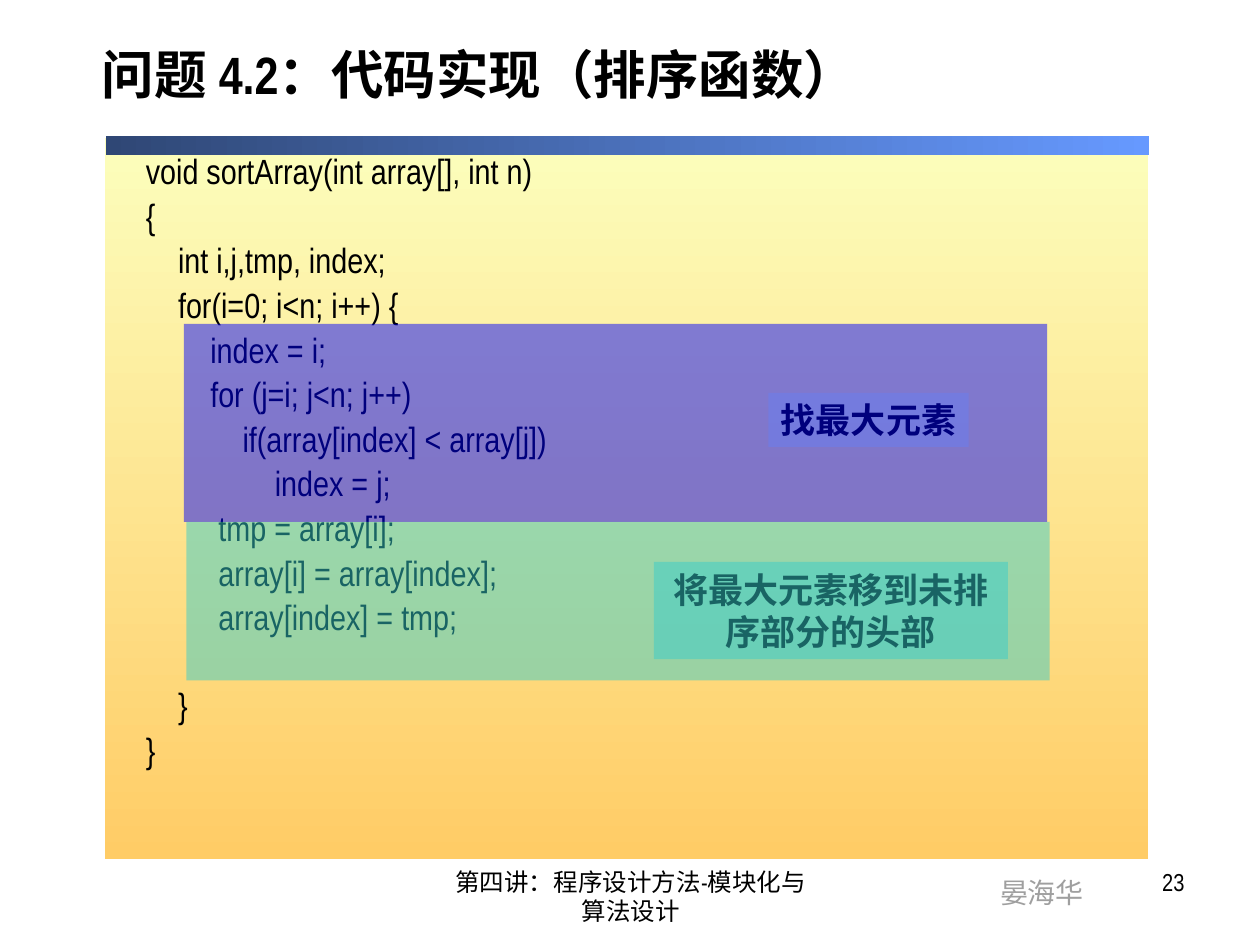
from lxml import etree
from pptx import Presentation
from pptx.dml.color import RGBColor
from pptx.enum.shapes import MSO_SHAPE
from pptx.enum.text import MSO_ANCHOR, PP_ALIGN
from pptx.oxml.ns import qn
from pptx.util import Cm, Pt

RECT = MSO_SHAPE.RECTANGLE
MIDDLE, TOP = MSO_ANCHOR.MIDDLE, MSO_ANCHOR.TOP
LEFT, CENTER, RIGHT = PP_ALIGN.LEFT, PP_ALIGN.CENTER, PP_ALIGN.RIGHT
NARROW, SANS = "Arial Narrow", "Arial"
STEP, GAP, PITCH = 0.65, 8.7, 24.8

CODE = [
    (0, "void sortArray(int array[], int n)"),
    (0, "{"),
    (1, "int i,j,tmp, index;"),
    (1, "for(i=0; i<n; i++) {"),
    (2, "index = i;"),
    (2, "for (j=i; j<n; j++)"),
    (3, "if(array[index] < array[j])"),
    (4, "index = j;"),
    (2.25, "tmp = array[i];"),
    (2.25, "array[i] = array[index];"),
    (2.25, "array[index] = tmp;"),
    (1, "}"),
    (0, "}"),
]


def color(code):
    """Turn a hex string into a colour."""
    return RGBColor.from_string(code)


def write(para, text, size, font=NARROW, tint="000000", bold=False, align=LEFT):
    """Add one styled run to a paragraph."""
    para.alignment = align
    run = para.add_run()
    run.text = text
    run.font.size = Pt(size)
    run.font.name = font
    run.font.bold = bold
    run.font.color.rgb = color(tint)


def block(shapes, box):
    """Add a plain rectangle without line or shadow."""
    shape = shapes.add_shape(RECT, *map(Cm, box))
    shape.shadow.inherit = False
    shape.line.fill.background()
    return shape


def blend(shapes, box, tints, angle):
    """Add a rectangle with a two-colour gradient."""
    fill = block(shapes, box).fill
    fill.gradient()
    fill.gradient_angle = angle
    for stop, tint in zip(fill.gradient_stops, tints):
        stop.color.rgb = color(tint)


def glass(shapes, box, tint, alpha):
    """Add a rectangle with a see-through fill."""
    shape = block(shapes, box)
    shape.fill.solid()
    shape.fill.fore_color.rgb = color(tint)
    node = shape.element.spPr.find(".//" + qn("a:srgbClr"))
    etree.SubElement(node, qn("a:alpha")).set("val", str(alpha * 1000))
    return shape


def field(slide, box, text, size, wrap=True, **style):
    """Add a text box that holds one run."""
    frame = slide.shapes.add_textbox(*map(Cm, box)).text_frame
    frame.word_wrap = wrap
    write(frame.paragraphs[0], text, size, **style)


def panel(slide, box):
    """Draw the backdrop and the bar along its top."""
    x, y, w, h = box
    blend(slide.shapes, box, ("FCFEBC", "FFCC66"), 270)
    blend(slide.shapes, (x + 0.02, y - 0.05, w, 0.38), ("2F4775", "6699FF"), 0)


def footer(slide, box):
    """Place the author, the lecture name and the page number."""
    x, y, w, h = box
    field(slide, (x + 11.22, y + 0.18, 2.21, 0.94), "晏海华", 16,
          wrap=False, font=SANS, tint="9F9F9F")
    field(slide, (x, y, 8.05, h), "第四讲：程序设计方法-模块化与算法设计", 14, align=CENTER)
    field(slide, (x + w - 5.92, y, 5.92, h), "23", 14, align=RIGHT)


def heading(slide, box, text):
    """Place and style the title."""
    title = slide.shapes.title
    title.left, title.top, title.width, title.height = map(Cm, box)
    frame = title.text_frame
    frame.vertical_anchor = MIDDLE
    para = frame.paragraphs[0]
    para.line_spacing = 0.8
    write(para, text, 30, bold=True)


def listing(slide, box):
    """Write the code with one paragraph per line."""
    frame = slide.shapes.add_textbox(*map(Cm, box)).text_frame
    frame.word_wrap = True
    frame.vertical_anchor = TOP
    for row, (level, text) in enumerate(CODE):
        para = frame.add_paragraph() if row else frame.paragraphs[0]
        para.line_spacing = 0.7
        skip = PITCH if row == len(CODE) - 2 else 0
        para.space_before = Pt(GAP + skip)
        props = para._p.get_or_add_pPr()
        props.set("marL", str(Cm(STEP * level)))
        props.set("indent", "0")
        write(para, text, 20)


def zone(slide, box, tint, note, text, fill, alpha, wrap):
    """Group a label with the tinted zone that covers it."""
    x, y, w, h = box
    dx, dy, wide, high = note
    shapes = slide.shapes.add_group_shape().shapes
    label = glass(shapes, (x + dx, y + dy, wide, high), fill, alpha)
    frame = label.text_frame
    frame.word_wrap = wrap
    frame.vertical_anchor = MIDDLE
    write(frame.paragraphs[0], text, 20, font=SANS, bold=True, align=CENTER)
    glass(shapes, box, tint, 49)


def main():
    """Build the slide and save it."""
    deck = Presentation()
    deck.slide_width, deck.slide_height = Cm(25.4), Cm(19.05)
    slide = deck.slides.add_slide(deck.slide_layouts[5])
    panel(slide, (2.11, 2.79, 21.03, 14.53))
    footer(slide, (8.69, 17.35, 15.44, 1.32))
    heading(slide, (1.8, 0.43, 22.76, 2.34), "问题 4.2：代码实现（排序函数）")
    listing(slide, (2.69, 3.12, 19.74, 13.56))
    zone(slide, (3.71, 6.53, 17.4, 3.99), "0000FF",
         (11.78, 1.39, 4.04, 1.09), "找最大元素", "C1FEF9", 39, False)
    zone(slide, (3.76, 10.52, 17.4, 3.2), "33CCCC",
         (9.42, 0.81, 7.14, 1.96), "将最大元素移到未排序部分的头部", "33CCCC", 47, True)
    deck.save("out.pptx")


if __name__ == "__main__":
    main()
